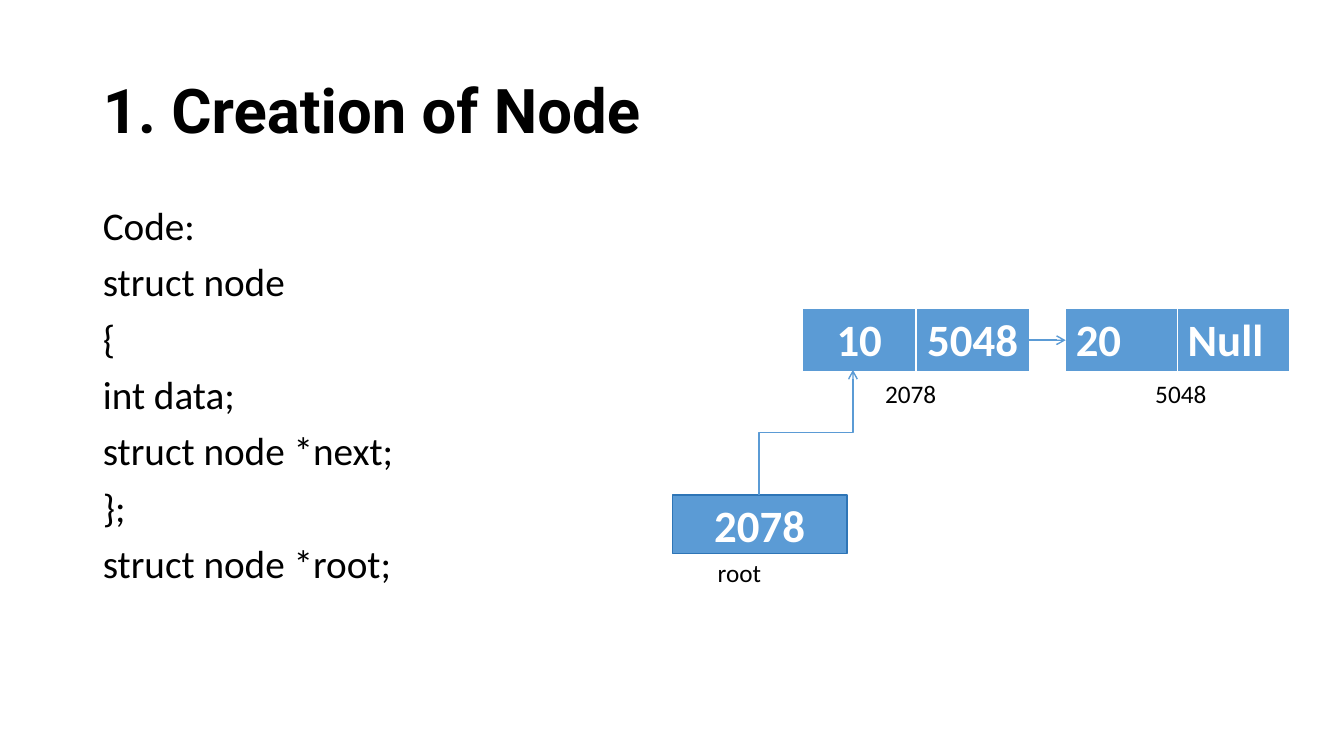
from dataclasses import dataclass

from lxml.etree import SubElement
from pptx import Presentation
from pptx.dml.color import RGBColor
from pptx.enum.shapes import MSO_CONNECTOR, MSO_SHAPE
from pptx.enum.text import MSO_ANCHOR, MSO_AUTO_SIZE, PP_ALIGN
from pptx.oxml.ns import qn
from pptx.shapes.connector import Connector
from pptx.slide import Slide
from pptx.text.text import TextFrame
from pptx.util import Inches, Pt


@dataclass(frozen=True)
class Theme:
    ink: str = "000000"
    paper: str = "FFFFFF"
    accent: str = "5B9BD5"
    accent_dark: str = "2E75B6"
    title_font: str = "Roboto"
    body_font: str = "Calibri"
    title_size: int = 44
    body_size: int = 28
    value_size: int = 32
    label_size: int = 18


@dataclass(frozen=True)
class ListNode:
    left: float
    width: float
    values: tuple[str, str]
    align: PP_ALIGN


@dataclass(frozen=True)
class Label:
    text: str
    left: float
    top: float
    width: float


THEME = Theme()
NODE_TOP, NODE_HEIGHT = 3.06, 0.63
CODE = ("Code:", "struct node", "{", "int data;", "struct node *next;", "};", "struct node *root;")
NODES = (
    ListNode(7.96, 2.25, ("10", "5048"), PP_ALIGN.CENTER),
    ListNode(10.57, 2.22, ("20", "Null"), PP_ALIGN.LEFT),
)
LABELS = (
    Label("2078", 8.68, 3.7, 4.44),
    Label("root", 7.02, 5.48, 4.44),
    Label("5048", 11.36, 3.7, 1.43),
)


def style_text(frame: TextFrame, size: int, color: str, font: str = THEME.body_font,
               bold: bool = False, align: PP_ALIGN = PP_ALIGN.LEFT) -> None:
    for para in frame.paragraphs:
        para.alignment = align
        for span in para.runs:
            span.font.name = font
            span.font.size = Pt(size)
            span.font.bold = bold
            span.font.color.rgb = RGBColor.from_string(color)


def place(shape, left: float, top: float, width: float, height: float) -> None:
    shape.left, shape.top = Inches(left), Inches(top)
    shape.width, shape.height = Inches(width), Inches(height)


def fill_title(page: Slide) -> None:
    title = page.shapes.title
    place(title, 0.92, 0.4, 11.5, 1.45)
    frame = title.text_frame
    frame.text = "1. Creation of Node"
    frame.vertical_anchor = MSO_ANCHOR.MIDDLE
    frame.auto_size = MSO_AUTO_SIZE.NONE
    frame.paragraphs[0].line_spacing = 0.9
    style_text(frame, THEME.title_size, THEME.ink, THEME.title_font, bold=True)


def fill_code(page: Slide) -> None:
    body = page.placeholders[1]
    place(body, 0.92, 2, 11.5, 4.76)
    frame = body.text_frame
    frame.text = "\n".join(CODE)
    frame.auto_size = MSO_AUTO_SIZE.NONE
    style_text(frame, THEME.body_size, THEME.ink)
    for para in frame.paragraphs:
        para.line_spacing = 0.9
        para.space_before = Pt(10)
        properties = para._p.get_or_add_pPr()
        properties.set("marL", "0")
        properties.set("indent", "0")
        SubElement(properties, qn("a:buNone"))


def set_cell_borders(cell) -> None:
    properties = cell._tc.get_or_add_tcPr()
    for index, (side, width) in enumerate((("L", 1), ("R", 1), ("T", 1), ("B", 3))):
        border = SubElement(properties, qn(f"a:ln{side}"), w=str(Pt(width)))
        fill = SubElement(border, qn("a:solidFill"))
        SubElement(fill, qn("a:srgbClr"), val=THEME.paper)
        properties.insert(index, border)  # borders precede the cell fill


def add_node(page: Slide, node: ListNode) -> None:
    table = page.shapes.add_table(1, len(node.values), Inches(node.left), Inches(NODE_TOP),
                                  Inches(node.width), Inches(NODE_HEIGHT)).table
    table.horz_banding = False
    for cell, value in zip(table.iter_cells(), node.values):
        cell.text = value
        cell.fill.solid()
        cell.fill.fore_color.rgb = RGBColor.from_string(THEME.accent)
        set_cell_borders(cell)
        style_text(cell.text_frame, THEME.value_size, THEME.paper, bold=True, align=node.align)


def add_root_box(page: Slide) -> None:
    box = page.shapes.add_shape(MSO_SHAPE.RECTANGLE, Inches(6.67), Inches(4.91),
                                Inches(1.73), Inches(0.58))
    box.shadow.inherit = False
    box.fill.solid()
    box.fill.fore_color.rgb = RGBColor.from_string(THEME.accent)
    box.line.color.rgb = RGBColor.from_string(THEME.accent_dark)
    box.line.width = Pt(1)
    box.text_frame.text = "2078"
    box.text_frame.vertical_anchor = MSO_ANCHOR.MIDDLE
    style_text(box.text_frame, THEME.value_size, THEME.paper, bold=True, align=PP_ALIGN.CENTER)


def add_label(page: Slide, label: Label) -> None:
    box = page.shapes.add_textbox(Inches(label.left), Inches(label.top),
                                  Inches(label.width), Inches(0.4))
    frame = box.text_frame
    frame.word_wrap = True
    frame.auto_size = MSO_AUTO_SIZE.SHAPE_TO_FIT_TEXT
    frame.text = label.text
    style_text(frame, THEME.label_size, THEME.ink)


def add_arrow(page: Slide, kind: MSO_CONNECTOR, begin: tuple[float, float],
              end: tuple[float, float]) -> Connector:
    arrow = page.shapes.add_connector(kind, *map(Inches, begin + end))
    arrow.line.color.rgb = RGBColor.from_string(THEME.accent)
    arrow.line.width = Pt(1)
    SubElement(arrow.line._get_or_add_ln(), qn("a:tailEnd"), type="arrow")
    SubElement(arrow.element.spPr, qn("a:effectLst"))
    return arrow


def add_rising_elbow(page: Slide, begin: tuple[float, float], end: tuple[float, float]) -> None:
    """Draw an elbow that leaves and arrives vertically: a quarter-turned level elbow."""
    middle_x, middle_y = (begin[0] + end[0]) / 2, (begin[1] + end[1]) / 2
    half_run, half_rise = (end[0] - begin[0]) / 2, (begin[1] - end[1]) / 2
    arrow = add_arrow(page, MSO_CONNECTOR.ELBOW,
                      (middle_x - half_rise, middle_y - half_run),
                      (middle_x + half_rise, middle_y + half_run))
    arrow.element.spPr.find(qn("a:xfrm")).set("rot", str(270 * 60000))


def main() -> None:
    deck = Presentation()
    deck.slide_width, deck.slide_height = Inches(13.33), Inches(7.5)
    page = deck.slides.add_slide(deck.slide_layouts[1])
    fill_title(page)
    fill_code(page)
    add_root_box(page)
    for node in NODES:
        add_node(page, node)
    for label in LABELS:
        add_label(page, label)
    first, second = NODES
    link_y = NODE_TOP + NODE_HEIGHT / 2
    add_arrow(page, MSO_CONNECTOR.STRAIGHT,
              (first.left + first.width, link_y), (second.left, link_y))
    add_rising_elbow(page, (7.53, 4.91), (8.46, 3.67))
    deck.save("out.pptx")


if __name__ == "__main__":
    main()
